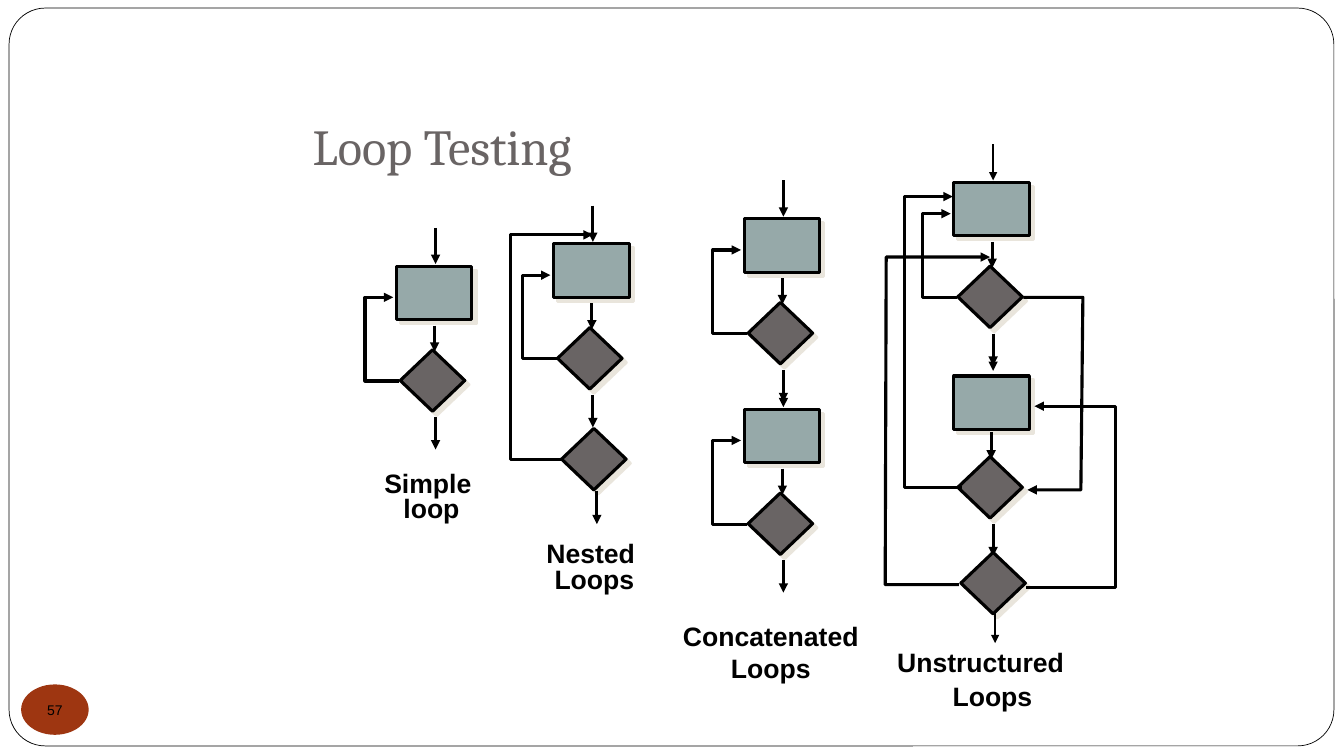
from lxml import etree
from pptx import Presentation
from pptx.dml.color import RGBColor
from pptx.enum.shapes import MSO_CONNECTOR, MSO_SHAPE
from pptx.enum.text import MSO_ANCHOR, MSO_AUTO_SIZE, PP_ALIGN
from pptx.oxml import parse_xml
from pptx.oxml.ns import qn
from pptx.util import Inches, Pt

BLACK = RGBColor(0x00, 0x00, 0x00)
WHITE = RGBColor(0xFF, 0xFF, 0xFF)
GRAY = RGBColor(0x69, 0x64, 0x64)
SAGE = RGBColor(0x96, 0xA9, 0xA9)
RUST = RGBColor(0x9E, 0x36, 0x11)
SHADOW = RGBColor(0xE9, 0xE5, 0xDC)

RECT, DIAMOND = MSO_SHAPE.RECTANGLE, MSO_SHAPE.DIAMOND
LEFT, CENTER = PP_ALIGN.LEFT, PP_ALIGN.CENTER
MIDDLE = MSO_ANCHOR.MIDDLE
NODE_STYLES = {RECT: (0.75, 0.53, SAGE), DIAMOND: (0.64, 0.61, GRAY)}
SHADOW_XML = (
    '<a:effectLst xmlns:a="http://schemas.openxmlformats.org/drawingml/2006/main">'
    f'<a:outerShdw dist="{Pt(4.2)}" dir="2700000" algn="ctr" rotWithShape="0">'
    f'<a:srgbClr val="{SHADOW}"/></a:outerShdw></a:effectLst>'
)

prs = Presentation()
prs.slide_width, prs.slide_height = Inches(13.33), Inches(7.5)
s = prs.slides.add_slide(prs.slide_layouts[5])


def add_node(kind, left, top):
    width, height, color = NODE_STYLES[kind]
    sp = s.shapes.add_shape(kind, Inches(left), Inches(top), Inches(width), Inches(height))
    sp.fill.solid()
    sp.fill.fore_color.rgb = color
    sp.line.color.rgb = BLACK
    sp.line.width = Pt(2.25)
    sp.element.spPr.append(parse_xml(SHADOW_XML))


def add_arrow(points, width=2.25):
    """Draw a straight or bent arrow that ends at the last point."""
    pts = [(Inches(x), Inches(y)) for x, y in points]
    if len(pts) == 2:
        sp = s.shapes.add_connector(MSO_CONNECTOR.STRAIGHT, *pts[0], *pts[1])
    else:
        builder = s.shapes.build_freeform(*pts[0])
        builder.add_line_segments(pts[1:], close=False)
        sp = builder.convert_to_shape()
        sp.fill.background()
    sp.line.color.rgb = BLACK
    sp.line.width = Pt(width)
    spPr = sp.element.spPr
    etree.SubElement(spPr.find(qn("a:ln")), qn("a:tailEnd"), type="triangle")
    etree.SubElement(spPr, qn("a:effectLst"))


# Frame, title and slide number
frame = s.shapes.add_shape(MSO_SHAPE.ROUNDED_RECTANGLE,
                           Inches(0.09), Inches(0.08), Inches(13.14), Inches(7.32))
frame.adjustments[0] = 0.049
frame.shadow.inherit = False
frame.fill.solid()
frame.fill.fore_color.rgb = WHITE
frame.line.color.rgb = BLACK
frame.line.width = Pt(0.5)
frame.element.getparent().insert(2, frame.element)  # behind the title

title = s.shapes.title
title.left, title.top = Inches(3), Inches(1.17)
title.width, title.height = Inches(5.21), Inches(0.55)
tf = title.text_frame
tf.text = "Loop Testing"
tf.auto_size = MSO_AUTO_SIZE.NONE
tf.vertical_anchor = MIDDLE
p = tf.paragraphs[0]
p.alignment = LEFT
font = p.runs[0].font
font.name, font.size, font.color.rgb = "Cambria", Pt(36), GRAY

badge = s.shapes.add_shape(MSO_SHAPE.OVAL, Inches(0.21), Inches(6.79), Inches(0.67), Inches(0.5))
badge.shadow.inherit = False
badge.fill.solid()
badge.fill.fore_color.rgb = RUST
badge.line.fill.background()
tf = badge.text_frame
tf.margin_left = tf.margin_right = tf.margin_top = tf.margin_bottom = 0
tf.word_wrap = False
tf.vertical_anchor = MIDDLE
tf.text = "57"
p = tf.paragraphs[0]
p.alignment = CENTER
font = p.runs[0].font
font.name, font.size, font.color.rgb = "Arial", Pt(10), BLACK

# Captions: text, left, top, width, height, alignment, line spacing
captions = [
    ("Simple \nloop", 3.71, 4.64, 1.14, 0.6, CENTER, 0.8),
    ("Nested \nLoops", 5.31, 5.34, 1.17, 0.61, CENTER, 0.8),
    ("Concatenated\nLoops", 6.63, 6.1, 2.03, 0.74, CENTER, 1.0),
    ("Unstructured", 8.8, 6.36, 2.39, 0.42, LEFT, 1.0),
    ("Loops", 9.35, 6.7, 1.2, 0.42, LEFT, 1.0),
]
for text, left, top, width, height, align, spacing in captions:
    box = s.shapes.add_textbox(Inches(left), Inches(top), Inches(width), Inches(height))
    tf = box.text_frame
    tf.word_wrap = True
    tf.text = text
    for p in tf.paragraphs:
        p.alignment = align
        p.line_spacing = spacing
        font = p.runs[0].font
        font.name, font.size, font.bold = "Arial", Pt(19), True
        font.color.rgb = BLACK

# Basic loops: left and top of the process box, width of the entry arrow
loops = [(3.93, 2.64, 2.25), (5.49, 2.42, 2.25), (7.38, 2.17, 2.25),
         (7.38, 4.06, 2.25), (9.46, 1.81, 1)]
for x, y, entry_width in loops:
    add_node(RECT, x, y)
    add_node(DIAMOND, x + 0.04, y + 0.83)
    add_arrow([(x + 0.39, y - 0.38), (x + 0.39, y - 0.02)], entry_width)
    add_arrow([(x + 0.38, y + 0.59), (x + 0.38, y + 0.85)])
    add_arrow([(x + 0.03, y + 1.14), (x - 0.31, y + 1.14),
               (x - 0.31, y + 0.31), (x - 0.03, y + 0.31)])
    add_arrow([(x + 0.39, y + 1.5), (x + 0.39, y + 1.82)])

# Outer loop of the nested loops
add_node(DIAMOND, 5.57, 4.25)
add_arrow([(5.92, 4.87), (5.92, 5.2)])
add_arrow([(5.57, 4.56), (5.06, 4.56), (5.06, 2.33), (5.88, 2.33)])

# Lower part and jumps of the unstructured loops
add_node(RECT, 9.46, 3.73)
add_node(DIAMOND, 9.5, 4.53)
add_arrow([(9.85, 3.32), (9.85, 3.68)])
add_arrow([(9.83, 4.29), (9.83, 4.56)])
add_arrow([(9.54, 4.84), (8.97, 4.84), (8.97, 1.95), (9.45, 1.95)])
add_arrow([(9.85, 5.2), (9.85, 5.52)])
add_arrow([(10.15, 2.95), (10.74, 2.95), (10.72, 4.86), (10.19, 4.86)])
add_node(DIAMOND, 9.53, 5.48)
add_arrow([(10.18, 5.83), (11.06, 5.83), (11.06, 4.03), (10.26, 4.03)])
add_arrow([(9.51, 5.8), (8.78, 5.8), (8.79, 2.55), (9.82, 2.55)])
add_arrow([(9.87, 6.06), (9.87, 6.38)], 1)

prs.save("out.pptx")
